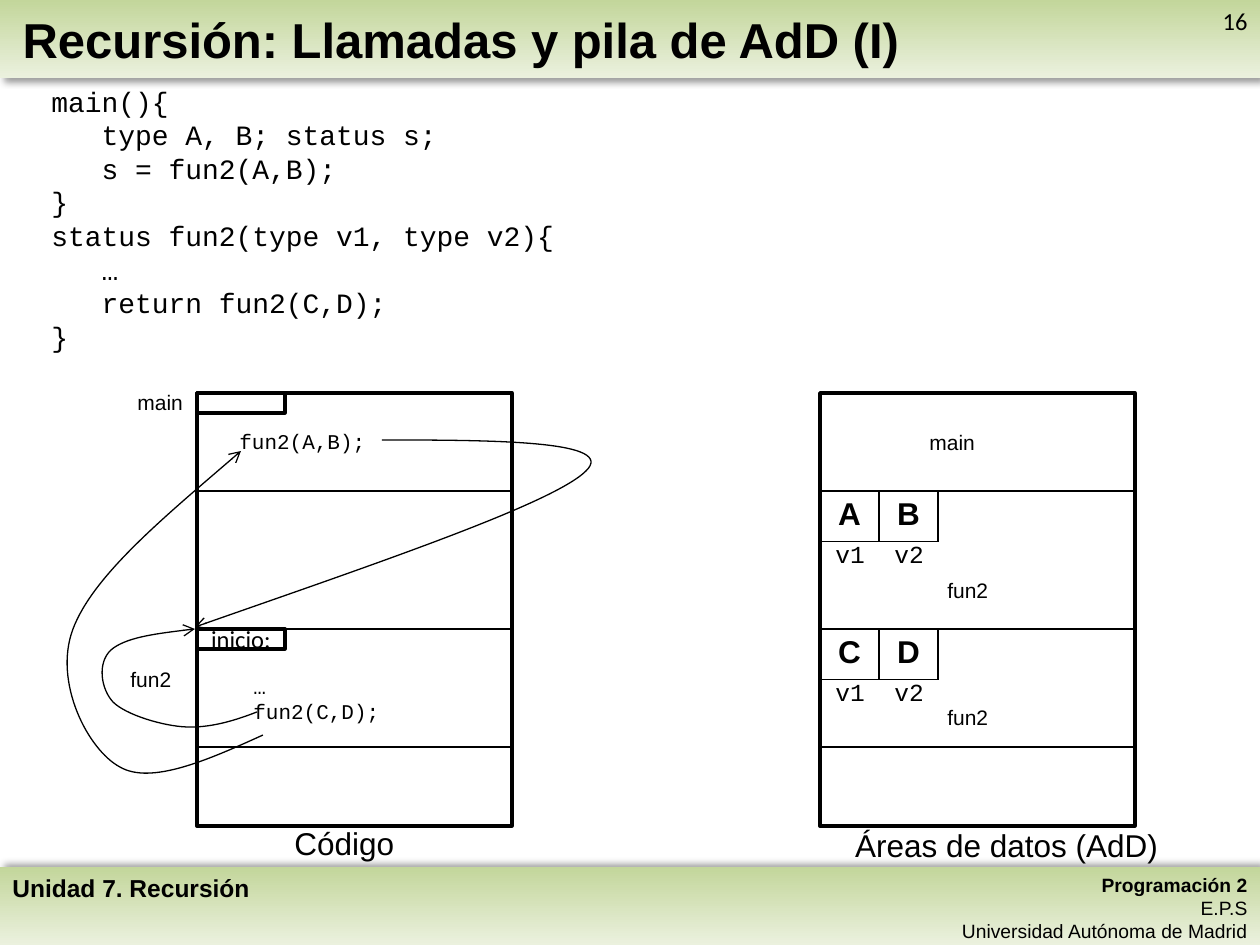
"""Build the slide on recursive calls and the stack of data areas."""
from dataclasses import dataclass

import pptx
import pptx.dml.color
import pptx.enum.shapes
import pptx.enum.text
import pptx.oxml.ns
import pptx.util
from lxml import etree

ALIGN = pptx.enum.text.PP_ALIGN
ANCHOR = pptx.enum.text.MSO_ANCHOR
AUTO = pptx.enum.text.MSO_AUTO_SIZE
RECT = pptx.enum.shapes.MSO_SHAPE.RECTANGLE
STRAIGHT = pptx.enum.shapes.MSO_CONNECTOR.STRAIGHT
SCALE = 914400 / 126
qn = pptx.oxml.ns.qn


@dataclass(frozen=True)
class Theme:
    ink: str = "000000"
    paper: str = "FFFFFF"
    band_dark: str = "C3D69B"
    band_light: str = "EBF1DE"
    sans: str = "Arial"
    mono: str = "Courier New"
    plain: str = "Calibri"
    title: int = 28
    large: int = 18
    code: int = 16
    medium: int = 14
    small: int = 12
    tiny: int = 11
    thick: float = 2
    rule: float = 1.5
    cell: float = 1
    thin: float = 0.75


def px(n):
    return pptx.util.Emu(round(n * SCALE))


def rgb(value):
    return pptx.dml.color.RGBColor.from_string(value)


def assign(target, values):
    for name, value in values.items():
        setattr(target, name, value)


class Board:
    def __init__(self, s, theme):
        self.s, self.t = s, theme

    def fill_text(self, tf, lines, size, font=None, bold=False, align=ALIGN.LEFT):
        for i, line in enumerate(lines):
            p = tf.paragraphs[0] if i == 0 else tf.add_paragraph()
            p.alignment = align
            r = p.add_run()
            r.text = line
            assign(r.font, {"name": font or self.t.sans, "bold": bold,
                            "size": pptx.util.Pt(size)})
            r.font.color.rgb = rgb(self.t.ink)

    def stroke(self, sp, width):
        sp.line.color.rgb = rgb(self.t.ink)
        sp.line.width = pptx.util.Pt(width)

    def title(self, box, text):
        sp = self.s.shapes.title
        sp.element.getparent().append(sp.element)
        assign(sp, dict(zip(("left", "top", "width", "height"), map(px, box))))
        assign(sp.text_frame, {"vertical_anchor": ANCHOR.MIDDLE,
                               "auto_size": AUTO.NONE, "word_wrap": True})
        self.fill_text(sp.text_frame, [text], self.t.title, bold=True)

    def text(self, box, lines, size, wrap=True, tab=None, **style):
        sp = self.s.shapes.add_textbox(*map(px, box))
        tf = sp.text_frame
        assign(tf, {"word_wrap": wrap, "auto_size": AUTO.SHAPE_TO_FIT_TEXT})
        if tab:
            pPr = tf.paragraphs[0]._p.get_or_add_pPr()
            tabs = etree.SubElement(pPr, qn("a:tabLst"))
            etree.SubElement(tabs, qn("a:tab"), pos=str(px(tab)), algn="l")
        self.fill_text(tf, lines, size, **style)
        return tf

    def rect(self, box):
        sp = self.s.shapes.add_shape(RECT, *map(px, box))
        sp.shadow.inherit = False
        sp.fill.solid()
        sp.fill.fore_color.rgb = rgb(self.t.paper)
        self.stroke(sp, self.t.thick)
        return sp

    def band(self, box, direction):
        sp = self.s.shapes.add_shape(RECT, *map(px, box))
        sp.line.fill.background()
        sp.fill.gradient()
        sp.fill.gradient_angle = 270
        for stop, color in zip(sp.fill.gradient_stops, (self.t.band_dark, self.t.band_light)):
            stop.color.rgb = rgb(color)
        sp.shadow.inherit = False
        effects = sp.element.spPr.find(qn("a:effectLst"))
        shadow = etree.SubElement(effects, qn("a:outerShdw"), blurRad="50800", dist="38100",
                                  dir=str(direction * 60000), rotWithShape="0")
        color = etree.SubElement(shadow, qn("a:srgbClr"), val=self.t.ink)
        etree.SubElement(color, qn("a:alpha"), val="40000")

    def rule(self, x, y, width, weight):
        c = self.s.shapes.add_connector(STRAIGHT, *map(px, (x, y, x + width, y)))
        self.stroke(c, weight)
        etree.SubElement(c.element.spPr, qn("a:effectLst"))

    def curve(self, points):
        fb = self.s.shapes.build_freeform(*points[0], scale=SCALE)
        fb.add_line_segments(points[1:], close=False)
        sp = fb.convert_to_shape()
        sp.shadow.inherit = False
        sp.fill.background()
        self.stroke(sp, self.t.thin)
        spPr = sp.element.spPr
        steps = list(spPr.iter(qn("a:lnTo")))
        for i in range(0, len(steps), 3):
            bezier = etree.Element(qn("a:cubicBezTo"))
            steps[i].addprevious(bezier)
            for step in steps[i:i + 3]:
                bezier.append(step[0])
                step.getparent().remove(step)
        etree.SubElement(spPr.find(qn("a:ln")), qn("a:tailEnd"), type="arrow")

    def table(self, box, values):
        table = self.s.shapes.add_table(1, len(values), *map(px, box)).table
        assign(table, {"first_row": False, "horz_banding": False})
        for cell, value in zip(table.rows[0].cells, values):
            self.fill_text(cell.text_frame, [value], self.t.large, bold=True, align=ALIGN.CENTER)
            tcPr = cell._tc.get_or_add_tcPr()
            for side in ("lnL", "lnR", "lnT", "lnB"):
                ln = etree.SubElement(tcPr, qn("a:" + side), w=str(pptx.util.Pt(self.t.cell)))
                fill = etree.SubElement(ln, qn("a:solidFill"))
                etree.SubElement(fill, qn("a:srgbClr"), val=self.t.ink)
            cell.fill.background()


def main():
    prs = pptx.Presentation()
    prs.slide_width, prs.slide_height = px(1260), px(945)
    t = Theme()
    b = Board(prs.slides.add_slide(prs.slide_layouts[5]), t)

    b.band((0, 867, 1260, 78), 315)
    b.band((0, 0, 1260, 78), 45)
    credits = b.text((896, 867, 364, 83),
                     ["Programación 2", "E.P.S", "Universidad Autónoma de Madrid"],
                     t.tiny, align=ALIGN.RIGHT)
    credits.paragraphs[0].runs[0].font.bold = True
    b.text((1074, 0, 186, 43), ["16"], t.medium, font=t.plain, align=ALIGN.RIGHT)
    b.text((0, 867, 444, 43), ["Unidad 7. Recursión"], t.medium, bold=True)
    b.title((10, 0, 1240, 78), "Recursión: Llamadas y pila de AdD (I)")

    code = ["main(){", "   type A, B; status s;", "   s = fun2(A,B);", "}",
            "status fun2(type v1, type v2){", "   …", "   return fun2(C,D);", "}"]
    b.text((39, 78, 876, 285), code, t.code, font=t.mono)

    code_x, data_x, top, width, height = 197, 820, 393, 315, 433
    levels = (491, 629, 747)
    for x, weights in ((code_x, (t.rule, t.rule, t.thin)), (data_x, (t.thin,) * 3)):
        b.rect((x, top, width, height))
        for y, weight in zip(levels, weights):
            b.rule(x, y, width, weight)
    b.rect((code_x, top, 88, 20))
    start = b.rect((code_x, levels[1], 88, 20)).text_frame
    start.vertical_anchor = ANCHOR.MIDDLE
    b.fill_text(start, ["inicio:"], t.medium, font=t.plain, align=ALIGN.CENTER)

    b.text((227, 422, 154, 38), ["fun2(A,B);"], t.small, wrap=False, font=t.mono)
    b.text((241, 667, 154, 63), ["…", "fun2(C,D);"], t.small, wrap=False, font=t.mono)
    for x, y, label in ((125, 383, "main"), (118, 660, "fun2"), (917, 423, "main"),
                        (935, 571, "fun2"), (935, 698, "fun2")):
        b.text((x, y, 118, 38), [label], t.small)
    b.text((282, 818, 168, 50), ["Código"], t.large)
    b.text((827, 820, 359, 50), ["Áreas de datos (AdD)"], t.large, align=ALIGN.CENTER)

    for y, values in zip(levels, ("AB", "CD")):
        b.table((data_x, y, 118, 50), values)
        b.text((823, y + 42, 130, 43), ["v1\tv2"], t.medium, tab=59, font=t.mono)

    for points in (
        [(382, 440), (499, 440), (617, 441), (586, 471), (554, 503), (375, 564), (195, 627)],
        [(263, 735), (208, 760), (151, 785), (120, 767), (88, 750), (53, 682), (73, 629),
         (93, 576), (168, 514), (241, 451)],
        [(257, 712), (234, 721), (210, 728), (186, 727), (163, 726), (126, 715), (113, 702),
         (101, 689), (97, 663), (111, 650), (125, 638), (160, 633), (195, 629)],
    ):
        b.curve(points)

    prs.save("out.pptx")


if __name__ == "__main__":
    main()
